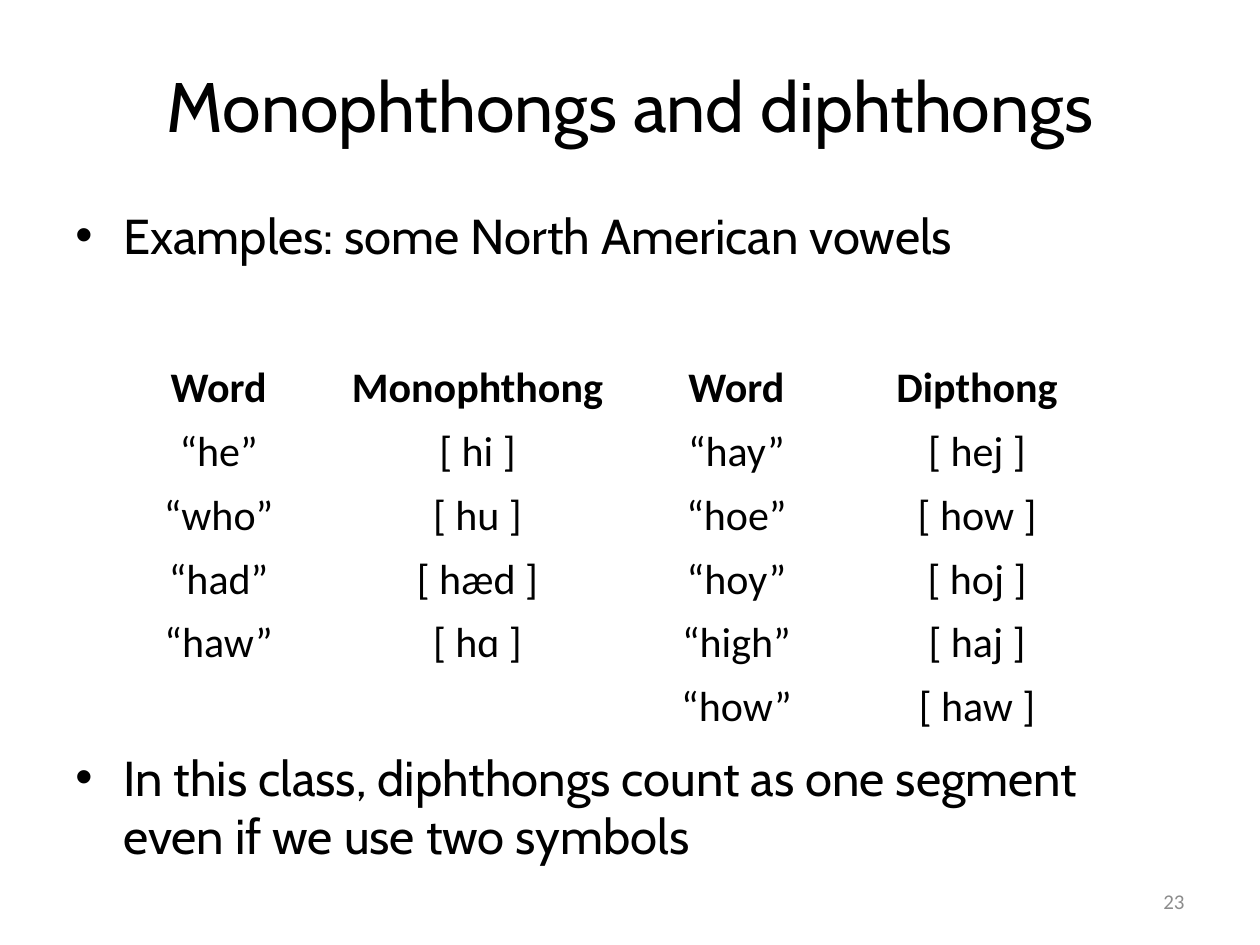
from dataclasses import dataclass

from lxml import etree
from pptx import Presentation
from pptx import util as u
from pptx.dml.color import RGBColor
from pptx.enum import text
from pptx.oxml.ns import qn

Inches, Pt = u.Inches, u.Pt


@dataclass(frozen=True)
class Theme:
    ink: RGBColor = RGBColor(0, 0, 0)
    muted: RGBColor = RGBColor(0x8C, 0x8C, 0x8C)
    border: str = "FFFFFF"
    heading_font: str = "Cabin"
    table_font: str = "Calibri"
    title: int = 40
    body: int = 28
    table: int = 24
    number: int = 12


THEME = Theme()

VOWELS = [
    ("Word", "Monophthong", "Word", "Dipthong"),
    ("“he”", "[ hi ]", "“hay”", "[ hej ]"),
    ("“who”", "[ hu ]", "“hoe”", "[ how ]"),
    ("“had”", "[ hæd ]", "“hoy”", "[ hoj ]"),
    ("“haw”", "[ hɑ ]", "“high”", "[ haj ]"),
    ("", "", "“how”", "[ haw ]"),
]


def style(p, font, size, color=THEME.ink, align=text.PP_ALIGN.LEFT, bold=False):
    p.alignment = align
    p.font.name, p.font.size, p.font.bold = font, Pt(size), bold
    p.font.color.rgb = color


def add_text(s, box, words, anchor=text.MSO_ANCHOR.TOP):
    tf = s.shapes.add_textbox(*map(Inches, box)).text_frame
    tf.word_wrap = True
    tf.vertical_anchor = anchor
    p = tf.paragraphs[0]
    p.text = words
    return p


def add_title(s, box, words):
    p = add_text(s, box, words, text.MSO_ANCHOR.MIDDLE)
    style(p, THEME.heading_font, THEME.title, align=text.PP_ALIGN.CENTER)


def add_bullet(s, box, words):
    p = add_text(s, box, words)
    style(p, THEME.heading_font, THEME.body)
    pPr = p._p.get_or_add_pPr()
    pPr.set("marL", str(Inches(0.38)))
    pPr.set("indent", str(-Inches(0.38)))
    # Bullet marks come before the default run properties
    font = etree.Element(qn("a:buFont"), typeface="Arial")
    mark = etree.Element(qn("a:buChar"), char="•")
    pPr.insert(0, font)
    font.addnext(mark)


def set_borders(cell, bottom):
    tcPr = cell._tc.get_or_add_tcPr()
    widths = {"lnL": 1, "lnR": 1, "lnT": 1, "lnB": bottom}
    for i, (side, width) in enumerate(widths.items()):
        line = etree.Element(qn(f"a:{side}"), w=str(Pt(width)))
        fill = etree.SubElement(line, qn("a:solidFill"))
        etree.SubElement(fill, qn("a:srgbClr"), val=THEME.border)
        tcPr.insert(i, line)


def add_vowel_table(s, box, rows, widths):
    table = s.shapes.add_table(len(rows), len(widths), *map(Inches, box)).table
    table.horz_banding = False
    for column, width in zip(table.columns, widths):
        column.width = Inches(width)
    for i, words in enumerate(rows):
        table.rows[i].height = Inches(box[3] / len(rows))
        for cell, word in zip(table.rows[i].cells, words):
            cell.fill.background()
            set_borders(cell, bottom=3 if i == 0 else 1)
            p = cell.text_frame.paragraphs[0]
            p.text = word
            style(p, THEME.table_font, THEME.table,
                  align=text.PP_ALIGN.CENTER, bold=i == 0)


def add_slide_number(s, box, number):
    p = add_text(s, box, number, text.MSO_ANCHOR.MIDDLE)
    style(p, THEME.table_font, THEME.number, THEME.muted, text.PP_ALIGN.RIGHT)


def main():
    prs = Presentation()
    prs.slide_width, prs.slide_height = Inches(10), Inches(7.5)
    s = prs.slides.add_slide(prs.slide_layouts[6])

    # Heading and opening point
    add_title(s, (0.5, 0.3, 9, 1.06), "Monophthongs and diphthongs")
    add_bullet(s, (0.5, 1.58, 9, 0.6), "Examples: some North American vowels")

    # Vowel examples, ending above the closing point
    add_vowel_table(s, (0.78, 2.83, 7.93, 3.04), VOWELS,
                    (1.91, 2.2, 1.91, 1.91))

    # Closing point and footer
    add_bullet(s, (0.5, 5.88, 9, 1.05),
               "In this class, diphthongs count as one segment "
               "even if we use two symbols")
    add_slide_number(s, (7.17, 6.95, 2.33, 0.4), "23")
    prs.save("out.pptx")


if __name__ == "__main__":
    main()
